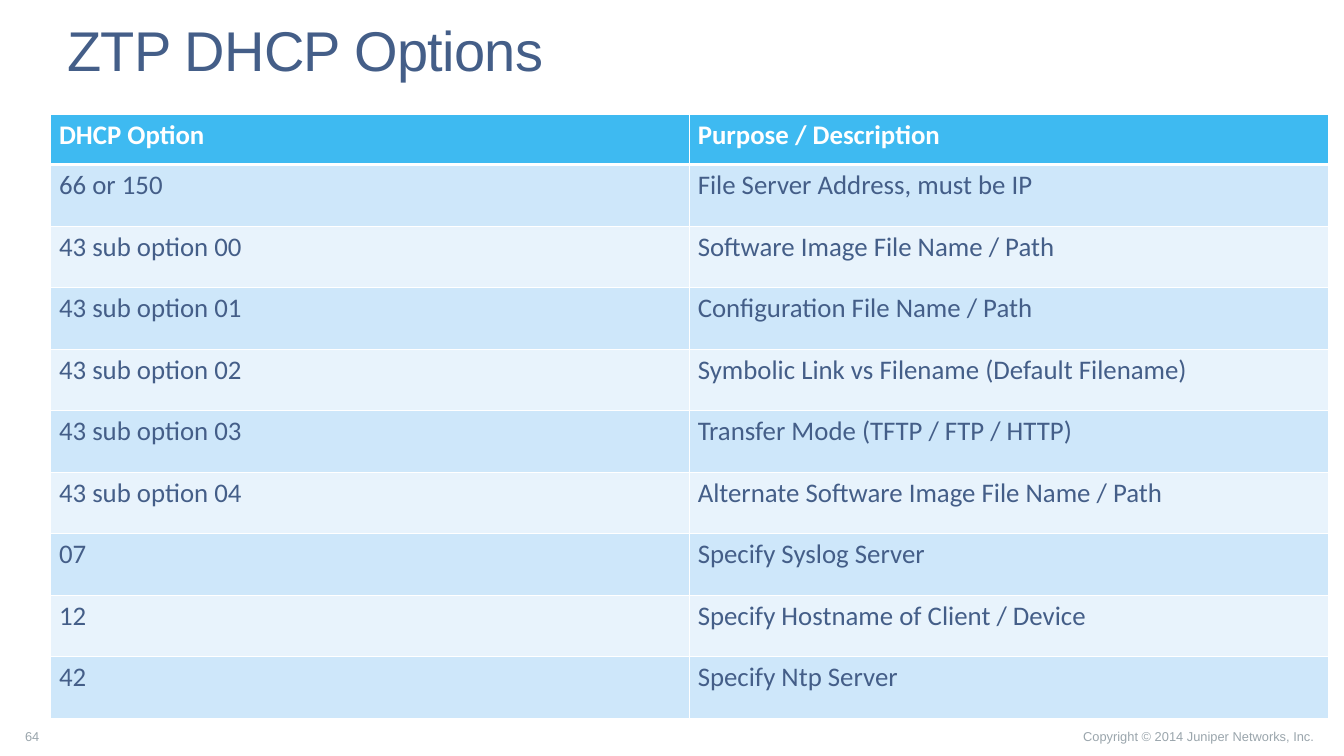
from dataclasses import dataclass

from lxml import etree
from pptx import Presentation
from pptx.dml.color import RGBColor
from pptx.enum import text
from pptx.oxml import ns
from pptx.util import Pt


@dataclass(frozen=True)
class Theme:
    """Fonts, type sizes and colours of the slide."""
    heading_font: str = "Arial"
    table_font: str = "Calibri"
    title_size: float = 48
    table_size: float = 23
    footer_size: float = 11
    ink: str = "445E88"
    muted: str = "9AA5AC"
    white: str = "FFFFFF"
    header: str = "3EBAF1"
    bands: tuple = ("CEE7FA", "E8F3FC")


THEME = Theme()
TITLE = "ZTP DHCP Options"
PAGE_NUMBER = "64"
COPYRIGHT = "Copyright © 2014 Juniper Networks, Inc. "
OPTIONS = [
    ("DHCP Option", "Purpose / Description"),
    ("66 or 150", "File Server Address, must be IP"),
    ("43 sub option 00", "Software Image File Name / Path"),
    ("43 sub option 01", "Configuration File Name / Path"),
    ("43 sub option 02", "Symbolic Link vs Filename (Default Filename)"),
    ("43 sub option 03", "Transfer Mode (TFTP / FTP / HTTP)"),
    ("43 sub option 04", "Alternate Software Image File Name / Path"),
    ("07", "Specify Syslog Server"),
    ("12", "Specify Hostname of Client / Device"),
    ("42", "Specify Ntp Server"),
]


def add_run(paragraph, words, font, size, colour, bold=False):
    """Add one styled run to a paragraph and return it."""
    run = paragraph.add_run()
    run.text = words
    run.font.name = font
    run.font.size = Pt(size)
    run.font.bold = bold
    run.font.color.rgb = RGBColor.from_string(colour)
    return run


def add_frame(slide, box, wrap):
    """Add a bottom-anchored text box and return its text frame."""
    frame = slide.shapes.add_textbox(*map(Pt, box)).text_frame
    frame.word_wrap = wrap
    frame.vertical_anchor = text.MSO_ANCHOR.BOTTOM
    return frame


def add_title(slide, box):
    """Place the slide title in its box."""
    frame = add_frame(slide, box, True)
    frame.margin_left = frame.margin_right = 0
    frame.margin_top = frame.margin_bottom = 0
    paragraph = frame.paragraphs[0]
    paragraph.line_spacing = 0.9
    run = add_run(paragraph, TITLE, THEME.heading_font, THEME.title_size, THEME.ink)
    run.font._element.set("spc", "-60")


def add_footer(slide, box):
    """Place the page number and the copyright line at the ends of a strip."""
    left, top, width, height = box
    number_width, copyright_width = 28, 217
    parts = [
        (PAGE_NUMBER, left, number_width, text.PP_ALIGN.LEFT),
        (COPYRIGHT, left + width - copyright_width, copyright_width, text.PP_ALIGN.RIGHT),
    ]
    for words, start, span, align in parts:
        frame = add_frame(slide, (start, top, span, height), False)
        paragraph = frame.paragraphs[0]
        paragraph.alignment = align
        add_run(paragraph, words, THEME.heading_font, THEME.footer_size, THEME.muted)


def set_borders(cell, **widths):
    """Draw white cell borders; widths are points by side."""
    properties = cell._tc.get_or_add_tcPr()
    for side in "LRTB":
        line = etree.SubElement(properties, ns.qn(f"a:ln{side}"), w=str(Pt(widths.get(side, 1))))
        fill = etree.SubElement(line, ns.qn("a:solidFill"))
        etree.SubElement(fill, ns.qn("a:srgbClr"), val=THEME.white)


def add_options_table(slide, box):
    """Place the table of options, a header above equal banded rows."""
    height, header_height = box[3], 43
    row_height = (height - header_height) / (len(OPTIONS) - 1)
    table = slide.shapes.add_table(len(OPTIONS), len(OPTIONS[0]), *map(Pt, box)).table
    for index, option in enumerate(OPTIONS):
        is_header = index == 0
        table.rows[index].height = Pt(header_height if is_header else row_height)
        background = THEME.header if is_header else THEME.bands[(index - 1) % 2]
        ink = THEME.white if is_header else THEME.ink
        for column, words in enumerate(option):
            cell = table.cell(index, column)
            set_borders(cell, T=3 if index == 1 else 1, B=3 if is_header else 1)
            cell.fill.solid()
            cell.fill.fore_color.rgb = RGBColor.from_string(background)
            add_run(cell.text_frame.paragraphs[0], words, THEME.table_font,
                    THEME.table_size, ink, is_header)


def main():
    """Build the slide and save it."""
    deck = Presentation()
    deck.slide_width, deck.slide_height = Pt(1152), Pt(648)
    slide = deck.slides.add_slide(deck.slide_layouts[6])
    add_footer(slide, (14.4, 620, 1122.5, 21))
    add_title(slide, (57.6, 18.7, 1036.8, 53.3))
    add_options_table(slide, (43.4, 98.2, 1095, 517.6))
    deck.save("out.pptx")


if __name__ == "__main__":
    main()
